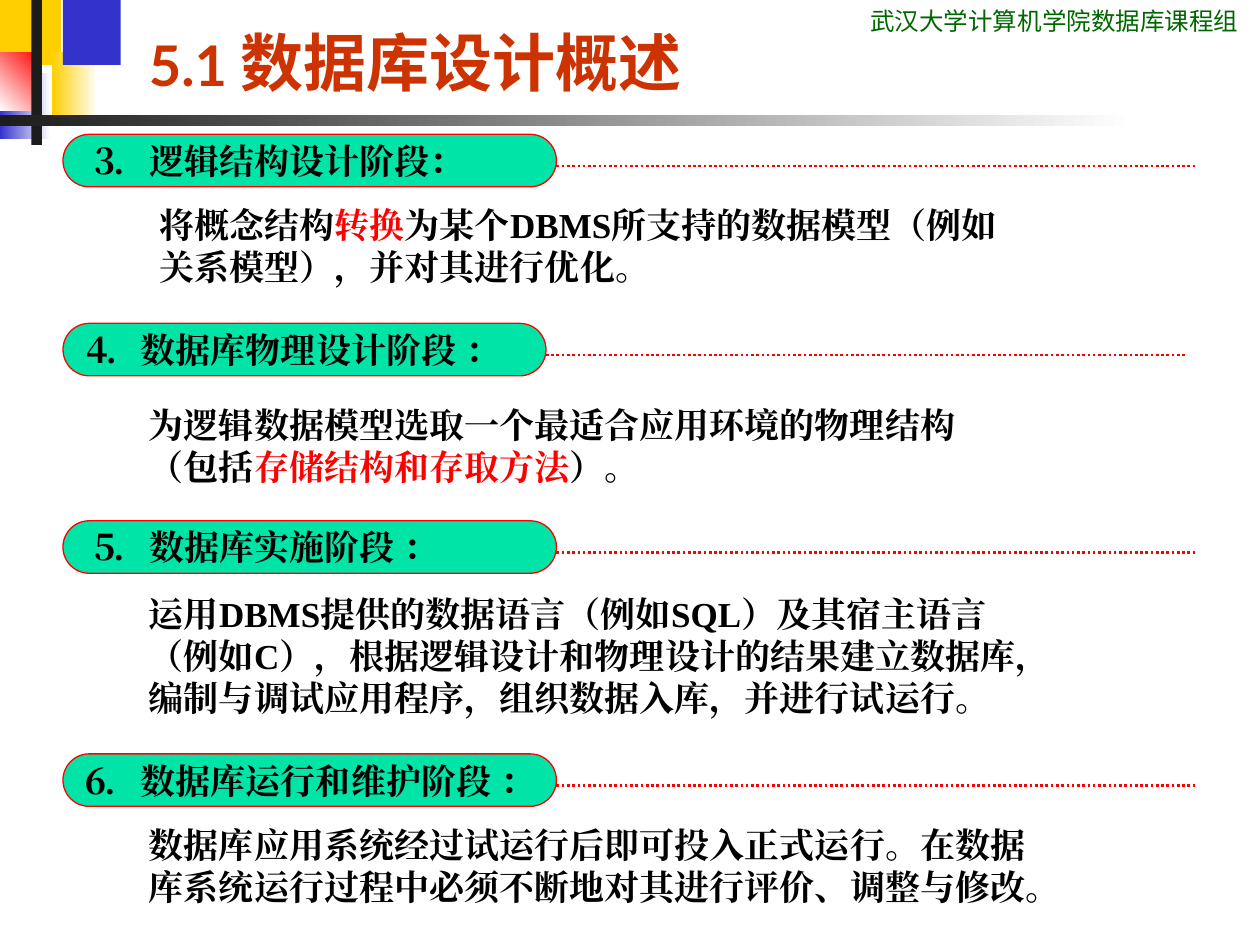
from dataclasses import dataclass

import pptx
import pptx.dml.color
import pptx.enum.dml
import pptx.enum.shapes
import pptx.enum.text
import pptx.oxml
import pptx.oxml.ns
import pptx.util

WIDTH, HEIGHT = pptx.util.Inches(10), pptx.util.Inches(7.5)
COLS, ROWS = 120, 90
SHAPES = pptx.enum.shapes.MSO_SHAPE
ANCHOR = pptx.enum.text.MSO_ANCHOR
SERIF, TITLE, HEADER = "Times New Roman", "Lato", "Roboto Condensed"
BLACK, RED = "000000", "FF0000"


@dataclass
class Run:
    text: str
    color: str = BLACK
    size: float = 20
    bold: bool = True
    font: str = SERIF


@dataclass
class Block:
    """Decoration bar: grid position, first and optional last colour."""
    col: float
    row: float
    cols: float
    rows: float
    color: str
    end: str = ""
    angle: float = 180


@dataclass
class Stage:
    """One design stage: pill heading, dotted rule and description."""
    row: float
    number: str
    heading: str
    body_row: float
    body_cols: float
    lines: list[list[Run]]
    indent: float = 0
    pill_cols: float = 47
    body_col: float = 13


def x(cols: float) -> int:
    return round(WIDTH * cols / COLS)


def y(rows: float) -> int:
    return round(HEIGHT * rows / ROWS)


def rgb(value: str) -> pptx.dml.color.RGBColor:
    return pptx.dml.color.RGBColor.from_string(value)


def write(p, runs: list[Run]) -> None:
    for item in runs:
        r = p.add_run()
        r.text = item.text
        r.font.size = pptx.util.Pt(item.size)
        r.font.bold = item.bold
        r.font.name = item.font
        r.font.color.rgb = rgb(item.color)
        ea = pptx.oxml.parse_xml(f'<a:ea {pptx.oxml.ns.nsdecls("a")} typeface="{item.font}"/>')
        r.font._element.find(pptx.oxml.ns.qn("a:latin")).addnext(ea)


def add_text(s, col: float, row: float, cols: float, rows: float,
             lines: list[list[Run]], spacing: float = 0, anchor=ANCHOR.TOP) -> None:
    tf = s.shapes.add_textbox(x(col), y(row), x(cols), y(rows)).text_frame
    tf.word_wrap = True
    tf.vertical_anchor = anchor
    for i, runs in enumerate(lines):
        p = tf.paragraphs[0] if i == 0 else tf.add_paragraph()
        if spacing:
            p.line_spacing = pptx.util.Pt(spacing)
        write(p, runs)


def add_block(s, block: Block) -> None:
    sp = s.shapes.add_shape(SHAPES.RECTANGLE, x(block.col), y(block.row),
                            x(block.cols), y(block.rows))
    sp.shadow.inherit = False
    sp.line.fill.background()
    if block.end:
        sp.fill.gradient()
        sp.fill.gradient_angle = block.angle
        for stop, color in zip(sp.fill.gradient_stops, (block.color, block.end)):
            stop.color.rgb = rgb(color)
    else:
        sp.fill.solid()
        sp.fill.fore_color.rgb = rgb(block.color)


def add_stage(s, stage: Stage) -> None:
    # Description
    add_text(s, stage.body_col, stage.body_row, stage.body_cols,
             4 * len(stage.lines) + 1.2, stage.lines, spacing=24)

    # Pill heading, with a tab between number and name
    sp = s.shapes.add_shape(SHAPES.ROUNDED_RECTANGLE, x(6), y(stage.row),
                            x(stage.pill_cols), y(5))
    sp.adjustments[0] = 0.5
    sp.shadow.inherit = False
    sp.fill.solid()
    sp.fill.fore_color.rgb = rgb("00E4A8")
    sp.line.color.rgb = rgb(RED)
    sp.line.width = pptx.util.Pt(0.75)
    tf = sp.text_frame
    tf.word_wrap = True
    tf.vertical_anchor = ANCHOR.MIDDLE
    tf.margin_left = x(1.2 + stage.indent)
    p = tf.paragraphs[0]
    p.alignment = pptx.enum.text.PP_ALIGN.LEFT
    p._p.get_or_add_pPr().append(pptx.oxml.parse_xml(
        f'<a:tabLst {pptx.oxml.ns.nsdecls("a")}><a:tab pos="{x(5.5)}" algn="l"/></a:tabLst>'))
    write(p, [Run(f"{stage.number}\t{stage.heading}")])

    # Dotted rule
    left, level = 6 + stage.pill_cols, stage.row + 3
    rule = s.shapes.add_connector(pptx.enum.shapes.MSO_CONNECTOR.STRAIGHT,
                                  x(left), y(level), x(left + 61), y(level))
    rule.line.color.rgb = rgb(RED)
    rule.line.width = pptx.util.Pt(1.5)
    rule.line.dash_style = pptx.enum.dml.MSO_LINE.ROUND_DOT
    rule._element.spPr.append(
        pptx.oxml.parse_xml(f'<a:effectLst {pptx.oxml.ns.nsdecls("a")}/>'))


BLOCKS = [
    Block(0, 0, 5.8, 6.2, "FFCF01"),
    Block(5, 5, 4.3, 6.2, "FFFFFF", "FFCF01"),
    Block(6, 0, 5.5, 6.2, "3333CC"),
    Block(0, 7, 4.8, 6.2, "FFFFFF", "3333CC"),
    Block(0, 5, 4, 5.5, "FF0000", "FFFFFF", 225),
    Block(3, 0, 1, 13.8, "1C1C1C"),
    Block(0, 11, 108, 1, "FFFFFF", "1C1C1C"),
]

STAGES = [
    Stage(12.8, "⒊", "逻辑结构设计阶段：", 18.8, 88, [
        [Run("将概念结构"), Run("转换", RED), Run("为某个DBMS所支持的数据模型（例如")],
        [Run("关系模型），并对其进行优化。")],
    ], indent=0.8, body_col=14),
    Stage(30.8, "⒋", "数据库物理设计阶段 ：", 37.8, 97, [
        [Run("为逻辑数据模型选取一个最适合应用环境的物理结构")],
        [Run("（包括"), Run("存储结构和存取方法", RED), Run("）。")],
    ], pill_cols=46),
    Stage(49.6, "⒌", "数据库实施阶段 ：", 55.8, 96, [
        [Run("运用DBMS提供的数据语言（例如SQL）及其宿主语言")],
        [Run("（例如C），根据逻辑设计和物理设计的结果建立数据库，")],
        [Run("编制与调试应用程序，组织数据入库，并进行试运行。")],
    ], indent=0.8),
    Stage(71.8, "⒍", "数据库运行和维护阶段 ：", 77.8, 87, [
        [Run("数据库应用系统经过试运行后即可投入正式运行。在数据")],
        [Run("库系统运行过程中必须不断地对其进行评价、调整与修改。")],
    ]),
]


def main() -> None:
    prs = pptx.Presentation()
    prs.slide_width, prs.slide_height = WIDTH, HEIGHT
    s = prs.slides.add_slide(prs.slide_layouts[6])

    # Corner decoration and header
    for block in BLOCKS:
        add_block(s, block)
    add_text(s, 81.7, 0, 38.3, 4.1,
             [[Run("武汉大学计算机学院数据库课程组", "006600", 14, False, HEADER)]])

    # Stages and title
    for stage in STAGES:
        add_stage(s, stage)
    add_text(s, 13, 3, 65, 7, [[Run("5.1 ", "CC3300", 32, font=TITLE),
                                Run("数据库设计概述", "CC3300", 36, font=TITLE)]],
             anchor=ANCHOR.BOTTOM)
    prs.save("out.pptx")


if __name__ == "__main__":
    main()
